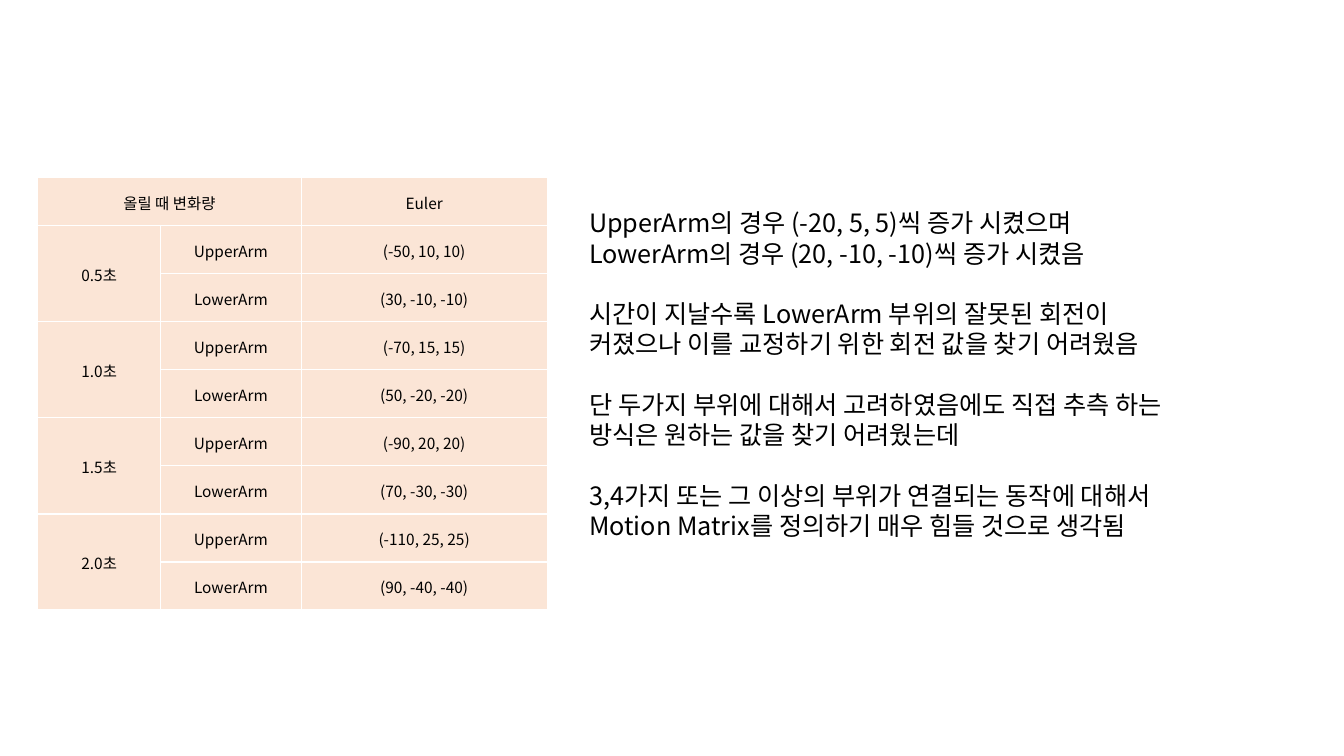
from lxml.etree import SubElement
from pptx import Presentation
from pptx.dml.color import RGBColor
from pptx.enum.text import MSO_ANCHOR as Anchor, MSO_AUTO_SIZE as AutoSize, PP_ALIGN as Align
from pptx.oxml.ns import qn
from pptx.util import Cm, Pt

SECONDS = ["0.5초", "1.0초", "1.5초", "2.0초"]
ARMS = ["UpperArm", "LowerArm"]
ANGLES = [
    ("(-50, 10, 10)", "(30, -10, -10)"),
    ("(-70, 15, 15)", "(50, -20, -20)"),
    ("(-90, 20, 20)", "(70, -30, -30)"),
    ("(-110, 25, 25)", "(90, -40, -40)"),
]
FINDINGS = [
    ["UpperArm의 경우 (-20, 5, 5)씩 증가 시켰으며",
     "LowerArm의 경우 (20, -10, -10)씩 증가 시켰음"],
    ["시간이 지날수록 LowerArm 부위의 잘못된 회전이",
     "커졌으나 이를 교정하기 위한 회전 값을 찾기 어려웠음"],
    ["단 두가지 부위에 대해서 고려하였음에도 직접 추측 하는 방식은 원하는 값을 찾기 어려웠는데"],
    ["3,4가지 또는 그 이상의 부위가 연결되는 동작에 대해서",
     "Motion Matrix를 정의하기 매우 힘들 것으로 생각됨"],
]


def color(value):
    return RGBColor.from_string(value)


def apply(target, values):
    for name, value in values.items():
        setattr(target, name, value)


class SlideBuilder:
    font = "Noto Sans CJK KR"
    ink, peach, white = "000000", "FBE5D6", "FFFFFF"

    def __init__(self, slide):
        self.slide = slide

    def add_words(self, paragraph, words, size, **layout):
        run = paragraph.add_run()
        run.text = words
        apply(run.font, {"size": Pt(size), "name": self.font})
        run.font.color.rgb = color(self.ink)
        SubElement(run._r.get_or_add_rPr(), qn("a:ea"), typeface=self.font)
        apply(paragraph, layout)

    def style_cell(self, cell):
        apply(cell, {"vertical_anchor": Anchor.MIDDLE, "margin_left": Cm(0.03),
                     "margin_right": Cm(0.03), "margin_top": Cm(0.03), "margin_bottom": 0})
        properties = cell._tc.get_or_add_tcPr()
        for side in ("lnL", "lnR", "lnT", "lnB"):
            border = SubElement(properties, qn(f"a:{side}"), w=str(Pt(1)))
            fill = SubElement(border, qn("a:solidFill"))
            SubElement(fill, qn("a:srgbClr"), val=self.white)
        cell.fill.solid()
        cell.fill.fore_color.rgb = color(self.peach)

    def table(self, left, top, widths, row_height, rows, merges):
        """Draw a table; None in rows marks a cell covered by a merge."""
        grid = self.slide.shapes.add_table(
            len(rows), len(widths), Cm(left), Cm(top),
            Cm(sum(widths)), Cm(row_height * len(rows))).table
        for column, width in zip(grid.columns, widths):
            column.width = Cm(width)
        for r, row in enumerate(rows):
            grid.rows[r].height = Cm(row_height)
            for c, words in enumerate(row):
                cell = grid.cell(r, c)
                self.style_cell(cell)
                if words:
                    self.add_words(cell.text_frame.paragraphs[0], words, 11,
                                   alignment=Align.CENTER)
        for first, last in merges:
            grid.cell(*first).merge(grid.cell(*last))

    def text(self, left, top, width, height, groups, size, pitch):
        """Add groups of paragraphs, set one line apart."""
        frame = self.slide.shapes.add_textbox(
            Cm(left), Cm(top), Cm(width), Cm(height)).text_frame
        apply(frame, {"word_wrap": True, "auto_size": AutoSize.SHAPE_TO_FIT_TEXT})
        for g, group in enumerate(groups):
            for i, line in enumerate(group):
                first = g == i == 0
                paragraph = frame.paragraphs[0] if first else frame.add_paragraph()
                gap = pitch if g and i == 0 else 0
                self.add_words(paragraph, line, size,
                               line_spacing=Pt(pitch), space_before=Pt(gap))


def main():
    deck = Presentation()
    apply(deck, {"slide_width": Cm(33.87), "slide_height": Cm(19.05)})
    builder = SlideBuilder(deck.slides.add_slide(deck.slide_layouts[6]))

    rows = [["올릴 때 변화량", None, "Euler"]]
    merges = [((0, 0), (0, 1))]
    for second, angles in zip(SECONDS, ANGLES):
        start = len(rows)
        merges.append(((start, 0), (start + 1, 0)))
        for label, arm, angle in zip((second, None), ARMS, angles):
            rows.append([label, arm, angle])
    builder.table(0.95, 4.48, [3.1, 3.54, 6.2], 1.21, rows, merges)
    builder.text(14.6, 5.11, 16.7, 8.71, FINDINGS, size=18, pitch=21.6)
    deck.save("out.pptx")


if __name__ == "__main__":
    main()
